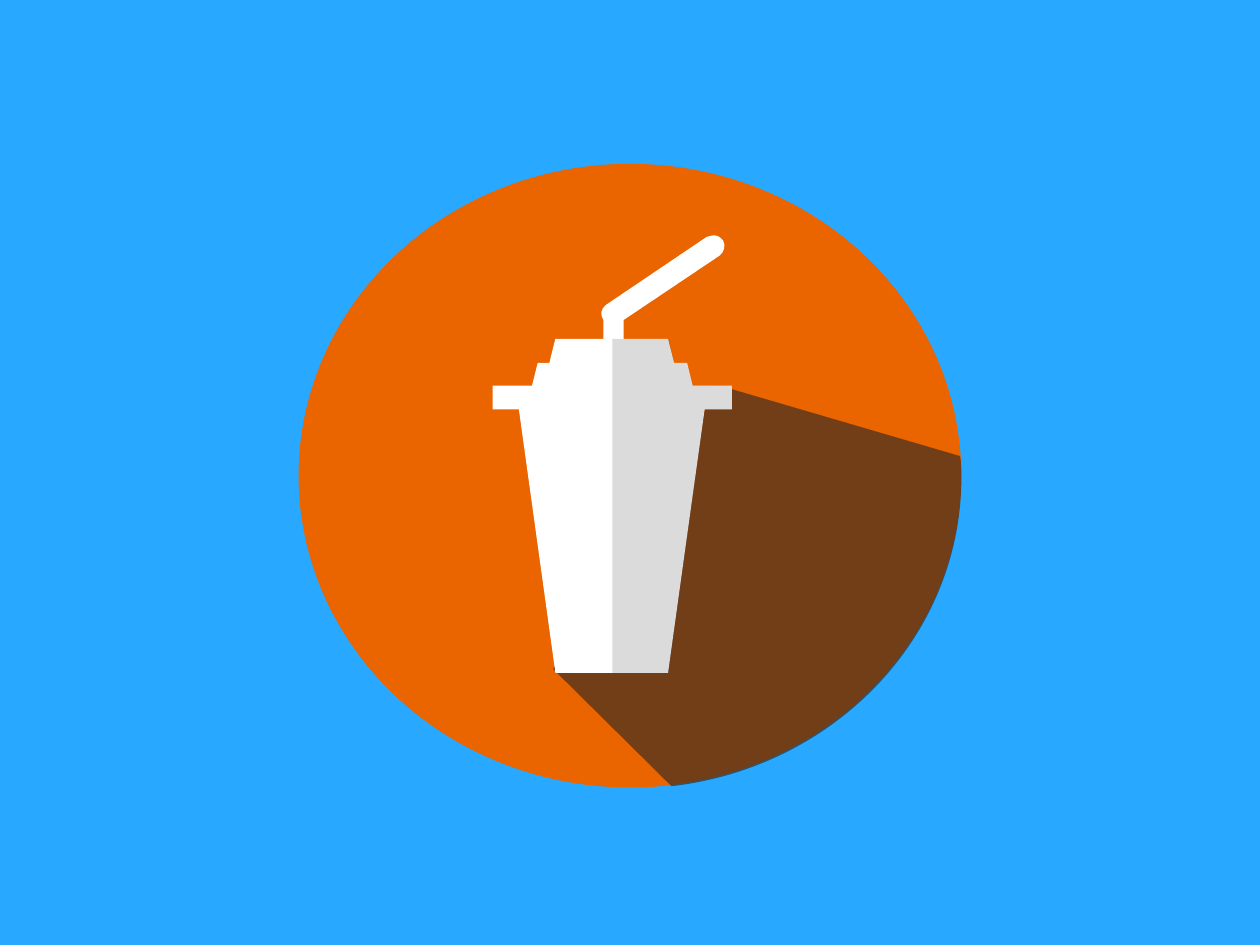
"""Build a slide with a flat drink-cup icon on an orange disc."""
import pptx
import pptx.dml.color
import pptx.enum.shapes
import pptx.oxml.ns
import pptx.util
from lxml import etree

Inches = pptx.util.Inches
qn = pptx.oxml.ns.qn
SHAPE = pptx.enum.shapes.MSO_SHAPE
BLUE, ORANGE, WHITE = "29A8FF", "EA6400", "FFFFFF"
SHADOW, SHADE = "262626", "404040"

DISC = (2.37, 1.3, 5.26, 4.95)
CUP_PARTS = [
    (SHAPE.FLOWCHART_MANUAL_OPERATION, (4.11, 3.19, 1.49, 2.15)),
    (SHAPE.RECTANGLE, (3.91, 3.06, 1.9, 0.19)),
    (SHAPE.TRAPEZOID, (4.22, 2.88, 1.28, 0.19)),
    (SHAPE.TRAPEZOID, (4.36, 2.69, 0.99, 0.19)),
]
CUP_SHADOW = [
    [(5.71, 3.06)],
    [(7.62, 3.62)],
    [(7.63, 3.68), (7.63, 3.73), (7.63, 3.79)],
    [(7.63, 5.05), (6.63, 6.09), (5.33, 6.24)],
    [(4.39, 5.31)],
]
STRAW = [
    [(5.65, 1.87)],
    [(5.68, 1.86), (5.72, 1.88), (5.74, 1.91)],
    [(5.76, 1.95), (5.75, 2), (5.71, 2.03)],
    [(4.95, 2.54)],
    [(4.95, 3.43)],
    [(4.95, 3.47), (4.92, 3.51), (4.87, 3.51)],
    [(4.82, 3.51), (4.79, 3.47), (4.79, 3.43)],
    [(4.79, 2.54)],
    [(4.76, 2.5), (4.77, 2.45), (4.81, 2.42)],
    [(5.61, 1.88)],
    [(5.62, 1.88), (5.64, 1.87), (5.65, 1.87)],
]
CUP_HALF = [[point] for point in (
    (4.86, 2.69), (5.31, 2.69), (5.35, 2.88), (5.45, 2.88), (5.5, 3.06),
    (5.81, 3.06), (5.81, 3.25), (5.59, 3.25), (5.31, 5.34), (4.86, 5.34))]


def paint(fill, color):
    fill.solid()
    fill.fore_color.rgb = pptx.dml.color.RGBColor.from_string(color)


def finish(sp, color, opacity=100):
    paint(sp.fill, color)
    sp.line.fill.background()
    sp.shadow.inherit = False
    if opacity < 100:
        clr = sp.fill._xPr.find(".//" + qn("a:srgbClr"))
        etree.SubElement(clr, qn("a:alpha"), val=str(opacity * 1000))


def preset(shapes, kind, box, color):
    finish(shapes.add_shape(kind, *map(Inches, box)), color)


def bend(sp, segments):
    lines = iter(sp._element.findall(".//" + qn("a:lnTo")))
    for segment in segments:
        first, *rest = [next(lines) for _ in segment]
        if rest:
            first.tag = qn("a:cubicBezTo")
            for line in rest:
                first.append(line[0])
                line.getparent().remove(line)


def outline(shapes, segments, color, opacity=100):
    points = [(Inches(x), Inches(y)) for segment in segments for x, y in segment]
    builder = shapes.build_freeform(*points[0])
    builder.add_line_segments(points[1:], close=True)
    sp = builder.convert_to_shape()
    bend(sp, segments[1:])
    finish(sp, color, opacity)


def rename_curves(segments):
    return [segment for segment in segments if len(segment) == 3]


def main():
    prs = pptx.Presentation()
    prs.slide_width, prs.slide_height = Inches(10), Inches(7.5)
    s = prs.slides.add_slide(prs.slide_layouts[6])
    paint(s.background.fill, BLUE)
    shapes = s.shapes.add_group_shape().shapes

    preset(shapes, SHAPE.OVAL, DISC, ORANGE)
    outline(shapes, CUP_SHADOW, SHADOW, 61)
    for kind, box in CUP_PARTS:
        preset(shapes, kind, box, WHITE)
    outline(shapes, STRAW, WHITE)
    outline(shapes, CUP_HALF, SHADE, 19)
    prs.save("out.pptx")


if __name__ == "__main__":
    main()
